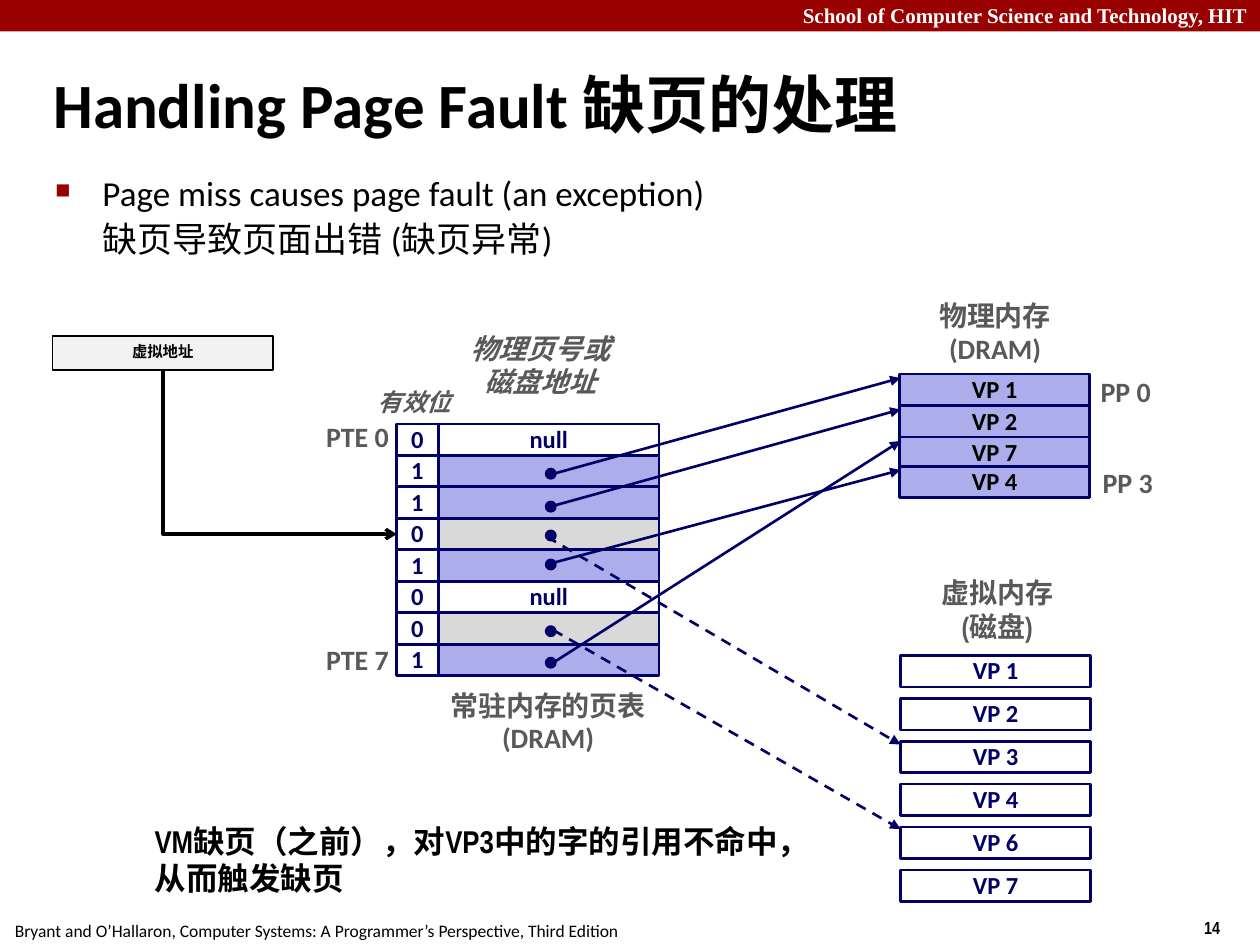
import pptx
import pptx.dml.color
import pptx.enum.dml
import pptx.enum.shapes
import pptx.enum.text
import pptx.oxml.ns
import pptx.util
from lxml import etree

Pt = pptx.util.Pt
SHAPES = pptx.enum.shapes.MSO_SHAPE
CONNECTORS = pptx.enum.shapes.MSO_CONNECTOR
ALIGN = pptx.enum.text.PP_ALIGN
ANCHOR = pptx.enum.text.MSO_ANCHOR
qn = pptx.oxml.ns.qn

NAVY, BLACK, WHITE, DARK_GRAY = "000066", "000000", "FFFFFF", "595959"
LILAC, GRAY, RED = "ADADEB", "D9D9D9", "990000"
NARROW = "Arial Narrow"

ROW_HEIGHT = 18
TABLE_TOP = 242.2
VALID_LEFT, VALID_WIDTH = 226.6, 23.8
ADDRESS_LEFT, ADDRESS_WIDTH = 250.6, 126
PHYSICAL_LEFT, DISK_LEFT, PAGE_WIDTH = 514, 514.6, 108.7
DISK_TOP, DISK_STEP = 374.6, 24.5
DOT_LEFT, DOT_SIZE = 311.8, 5.8

PAGE_TABLE = [
    ("0", "null", WHITE), ("1", "", LILAC), ("1", "", LILAC), ("0", "", GRAY),
    ("1", "", LILAC), ("0", "null", WHITE), ("0", "", GRAY), ("1", "", LILAC),
]
FAULT_ROW = 3
PHYSICAL_PAGES = [("VP 1", 213.8), ("VP 2", 231.8), ("VP 7", 249.8), ("VP 4", 266.4)]
DISK_PAGES = ["VP 1", "VP 2", "VP 3", "VP 4", "VP 6", "VP 7"]
# dot top, arrow start x, arrow start y, arrow end y, points to disk
POINTERS = [
    (267.8, 313.9, 271.4, 216, False),
    (286.6, 317.5, 288.7, 234, False),
    (303.1, 312.5, 306.7, 425.5, True),
    (319.7, 315.4, 321.8, 268.6, False),
    (357.8, 316.1, 360, 473.8, True),
    (375.8, 316.1, 378.7, 252, False),
]


def color(hex_string):
    return pptx.dml.color.RGBColor.from_string(hex_string)


def write(frame, text, size=14, font="Calibri", ink=BLACK, bold=True, italic=False,
          align=ALIGN.LEFT, spacing=None, before=None, indent=None, bullet=None):
    """Append a paragraph to the frame, using the first one while it is empty."""
    paragraph = frame.add_paragraph() if frame.text else frame.paragraphs[0]
    paragraph.text = text
    paragraph.alignment = align
    if spacing:
        paragraph.line_spacing = spacing
    if before:
        paragraph.space_before = Pt(before)
    properties = paragraph._p.get_or_add_pPr()
    if indent:
        properties.set("marL", str(Pt(indent)))
        properties.set("indent", str(-Pt(indent) if bullet else 0))
    if bullet:
        bullet_color = etree.SubElement(properties, qn("a:buClr"))
        etree.SubElement(bullet_color, qn("a:srgbClr"), val=RED)
        etree.SubElement(properties, qn("a:buSzPct"), val="60000")
        etree.SubElement(properties, qn("a:buChar"), char=bullet)
    style = paragraph.runs[0].font
    style.name, style.size = font, Pt(size)
    style.bold, style.italic = bold, italic
    style.color.rgb = color(ink)


def add_label(slide, left, top, width, height, text="", wrap=False,
              anchor=ANCHOR.TOP, **text_format):
    frame = slide.shapes.add_textbox(Pt(left), Pt(top), Pt(width), Pt(height)).text_frame
    frame.word_wrap = wrap
    frame.vertical_anchor = anchor
    for line in text.splitlines():
        write(frame, line, **text_format)
    return frame


def add_block(slide, left, top, width, height, fill=None, line=NAVY, weight=1.5,
              kind=SHAPES.RECTANGLE, text="", spacing=0.98, **text_format):
    block = slide.shapes.add_shape(kind, Pt(left), Pt(top), Pt(width), Pt(height))
    block.shadow.inherit = False
    if fill:
        block.fill.solid()
        block.fill.fore_color.rgb = color(fill)
    else:
        block.fill.background()
    if line:
        block.line.color.rgb = color(line)
        block.line.width = Pt(weight)
    else:
        block.line.fill.background()
    if text:
        block.text_frame.word_wrap = False
        block.text_frame.vertical_anchor = ANCHOR.MIDDLE
        write(block.text_frame, text, align=ALIGN.CENTER, spacing=spacing, **text_format)
    return block


def finish_arrow(connector, ink, weight, head):
    connector.line.color.rgb = color(ink)
    connector.line.width = Pt(weight)
    etree.SubElement(connector.line._get_or_add_ln(), qn("a:tailEnd"), type=head)
    etree.SubElement(connector._element.spPr, qn("a:effectLst"))


def add_pointer(slide, start_x, start_y, end_y, dashed):
    pointer = slide.shapes.add_connector(
        CONNECTORS.STRAIGHT, Pt(start_x), Pt(start_y), Pt(DISK_LEFT), Pt(end_y))
    if dashed:
        pointer.line.dash_style = pptx.enum.dml.MSO_LINE.DASH
    finish_arrow(pointer, NAVY, 1.5, "triangle")


def add_lookup(slide, address, entry):
    """Run a one-bend arrow from below the address to the left of the entry."""
    lookup = slide.shapes.add_connector(CONNECTORS.ELBOW, 0, 0, 0, 0)
    lookup.begin_connect(address, 2)
    lookup.end_connect(entry, 1)
    start_x, start_y = address.left + address.width // 2, address.top + address.height
    end_x, end_y = entry.left, entry.top + entry.height // 2
    run, drop = end_x - start_x, end_y - start_y
    lookup.left = (start_x + end_x - drop) // 2
    lookup.top = (start_y + end_y - run) // 2
    lookup.width, lookup.height = drop, run
    properties = lookup._element.spPr
    frame = properties.find(qn("a:xfrm"))
    frame.set("rot", "16200000")
    frame.set("flipH", "1")
    properties.find(qn("a:prstGeom")).set("prst", "bentConnector2")
    finish_arrow(lookup, BLACK, 2, "arrow")


def add_page_frame(slide):
    add_block(slide, 0, 0, 720, 18, fill=RED, line=None)
    add_label(slide, 681, 520.6, 54, 19.4, "14", size=10, font=NARROW)
    add_label(slide, 1.4, 522, 361, 19.4,
              "Bryant and O’Hallaron, Computer Systems: A Programmer’s Perspective, Third Edition",
              size=10, bold=False)
    add_label(slide, 0, -2.2, 720, 21.6, "School of Computer Science and Technology, HIT",
              wrap=True, size=12, font="Times New Roman", ink=WHITE, align=ALIGN.RIGHT)
    add_label(slide, 23.4, 28, 652, 62, "Handling Page Fault 缺页的处理",
              wrap=True, anchor=ANCHOR.MIDDLE, size=36)
    body = add_label(slide, 24.5, 97.2, 654, 60, wrap=True)
    body_format = dict(size=20, bold=False, spacing=0.9, indent=27)
    write(body, "Page miss causes page fault (an exception)", bullet="■", **body_format)
    write(body, "缺页导致页面出错 (缺页异常)", before=4.5, **body_format)


def add_page_table(slide):
    """Draw the table and return the valid-bit cell of the faulting entry."""
    valid_cells = []
    for row, (valid, address, fill) in enumerate(PAGE_TABLE):
        top = TABLE_TOP + row * ROW_HEIGHT
        add_block(slide, ADDRESS_LEFT, top, ADDRESS_WIDTH, ROW_HEIGHT,
                  fill=fill, text=address, ink=NAVY)
        valid_cells.append(add_block(slide, VALID_LEFT, top, VALID_WIDTH, ROW_HEIGHT,
                                     text=valid, ink=NAVY))
    return valid_cells[FAULT_ROW]


def add_memories(slide):
    for page, top in PHYSICAL_PAGES:
        add_block(slide, PHYSICAL_LEFT, top, PAGE_WIDTH, ROW_HEIGHT, fill=LILAC, text=page)
    for slot, page in enumerate(DISK_PAGES):
        add_block(slide, DISK_LEFT, DISK_TOP + slot * DISK_STEP, PAGE_WIDTH, ROW_HEIGHT,
                  fill=WHITE, text=page, ink=NAVY)


def add_captions(slide):
    gray = dict(size=16, ink=DARK_GRAY)
    for text, left, top, width, align in [
        ("PTE 0", 178.9, 236.9, 50.4, ALIGN.RIGHT), ("PTE 7", 178.9, 364.3, 50.4, ALIGN.RIGHT),
        ("PP 0", 621.7, 211.4, 43.2, ALIGN.CENTER), ("PP 3", 622.8, 263.5, 43.2, ALIGN.CENTER),
    ]:
        add_label(slide, left, top, width, 25.9, text, anchor=ANCHOR.MIDDLE,
                  align=align, spacing=0.98, **gray)
    add_label(slide, 208.8, 218.2, 72, 23.8, "有效位", wrap=True, font=NARROW,
              ink=DARK_GRAY, italic=True, spacing=0.98)
    centered = dict(gray, align=ALIGN.CENTER)
    add_label(slide, 258.9, 185.8, 100, 46, "物理页号或\n磁盘地址",
              font=NARROW, italic=True, **centered)
    add_label(slide, 524.8, 325.4, 90, 46, "虚拟内存\n(磁盘)", font=NARROW, **centered)
    for text, left, top, width, spacing in [("常驻内存的页表", 248.2, 389.8, 130, None),
                                            ("物理内存", 523.6, 167.8, 90, 0.98)]:
        caption = add_label(slide, left, top, width, 45, text, font=NARROW,
                            spacing=spacing, **centered)
        write(caption, "(DRAM)", spacing=0.98, **centered)
    add_label(slide, 81.2, 466, 375, 50.4,
              "VM缺页（之前），对VP3中的字的引用不命中，从而触发缺页",
              wrap=True, size=18, font=NARROW)


def main():
    presentation = pptx.Presentation()
    presentation.slide_width, presentation.slide_height = Pt(720), Pt(540)
    slide = presentation.slides.add_slide(presentation.slide_layouts[6])
    add_page_frame(slide)
    fault_entry = add_page_table(slide)
    add_memories(slide)
    for dot_top, start_x, start_y, end_y, on_disk in POINTERS:
        add_block(slide, DOT_LEFT, dot_top, DOT_SIZE, DOT_SIZE, fill=NAVY, weight=1,
                  kind=SHAPES.OVAL)
        add_pointer(slide, start_x, start_y, end_y, on_disk)
    address = add_block(slide, 30, 192, 126, 19.4, fill="F2F2F2", line=BLACK, weight=1,
                        text="虚拟地址", size=8.8, spacing=0.8)
    add_lookup(slide, address, fault_entry)
    add_captions(slide)
    presentation.save("out.pptx")


if __name__ == "__main__":
    main()
